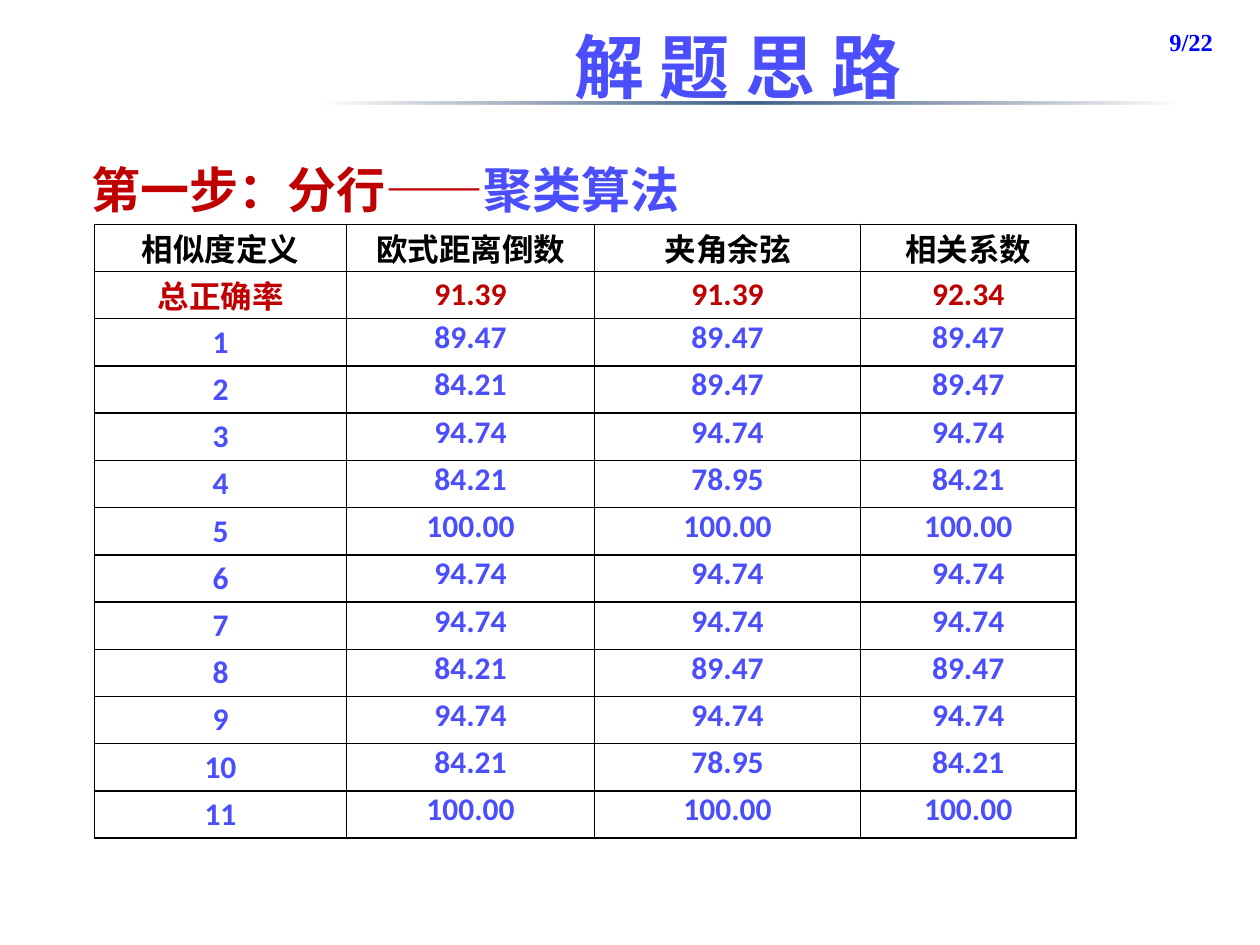
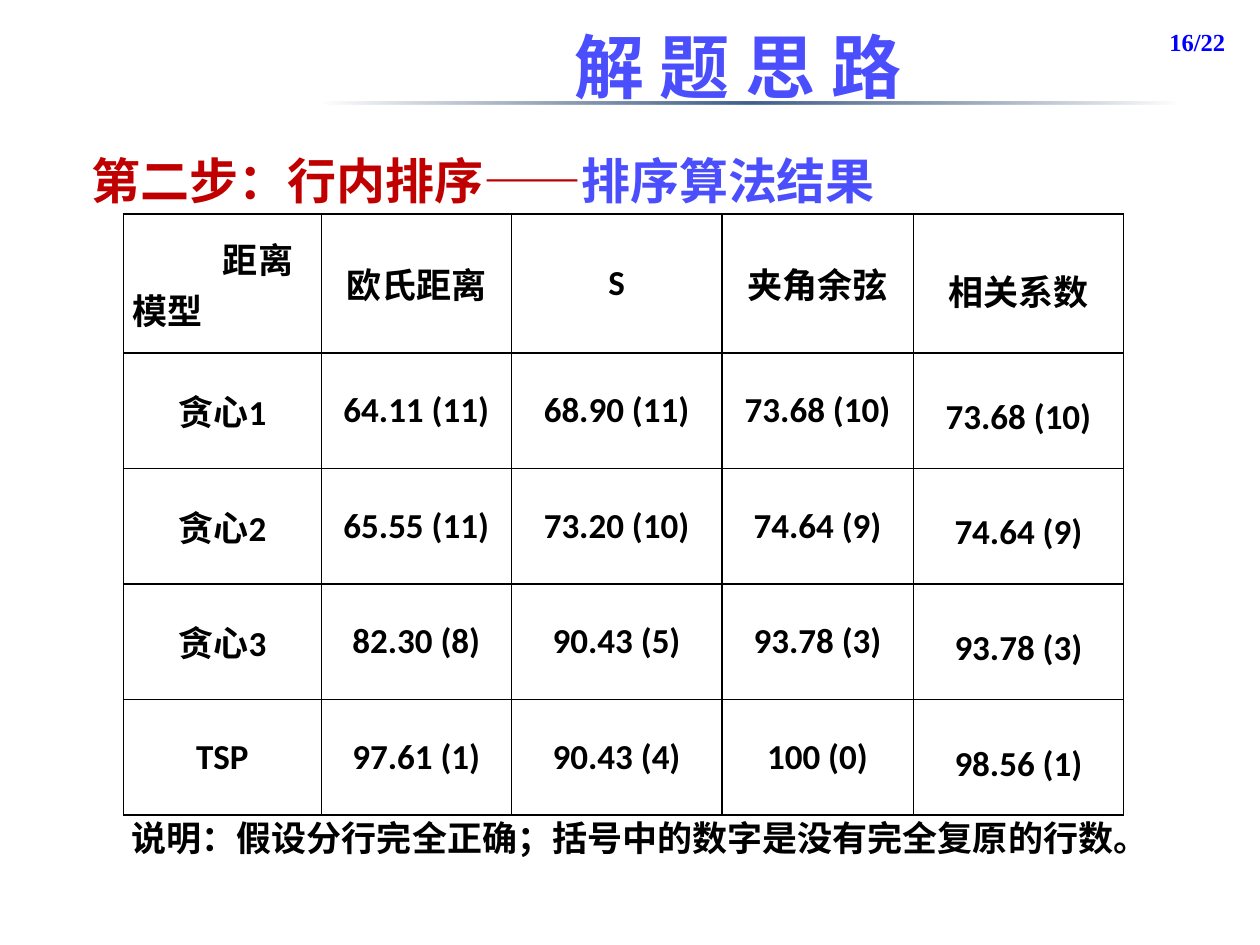
from dataclasses import dataclass

from lxml import etree
from pptx import Presentation
from pptx.dml.color import RGBColor
from pptx.enum.shapes import MSO_SHAPE
from pptx.enum.text import MSO_ANCHOR, PP_ALIGN
from pptx.oxml import parse_xml
from pptx.oxml.ns import qn
from pptx.util import Inches, Pt

RECTANGLE = MSO_SHAPE.RECTANGLE
TOP, MIDDLE = MSO_ANCHOR.TOP, MSO_ANCHOR.MIDDLE
LEFT, CENTER = PP_ALIGN.LEFT, PP_ALIGN.CENTER
DRAWING_NS = "http://schemas.openxmlformats.org/drawingml/2006/main"
BLANK_LAYOUT = 6
COLUMNS, ROWS = 100, 75
PAGE_COUNT = 22


@dataclass(frozen=True)
class Theme:
    violet: str = "4A4EFC"
    red: str = "C00000"
    black: str = "000000"
    page_blue: str = "0000FF"
    rule_edge: str = "2E4564"
    rule_core: str = "40608C"
    display_font: str = "Arial"
    table_font: str = "Calibri"
    page_font: str = "Times New Roman"
    title_size: int = 40
    heading_size: int = 28
    note_size: int = 20
    score_size: int = 18
    page_size: int = 14
    border_width: int = 1


def write_text(frame, paragraphs, *, font, size, color, align=LEFT, anchor=MIDDLE,
               margins=(0, 0, 0, 0), indents=(), wrap=True):
    frame.word_wrap = wrap
    frame.vertical_anchor = anchor
    (frame.margin_left, frame.margin_top,
     frame.margin_right, frame.margin_bottom) = map(Inches, margins)
    for index, runs in enumerate(paragraphs):
        paragraph = frame.paragraphs[0] if index == 0 else frame.add_paragraph()
        paragraph.alignment = align
        if index < len(indents):
            paragraph._p.get_or_add_pPr().set("marL", str(Inches(indents[index])))
        for text, run_color in [(runs, color)] if isinstance(runs, str) else runs:
            run = paragraph.add_run()
            run.text = text
            run.font.name = font
            run.font.size = Pt(size)
            run.font.bold = True
            run.font.color.rgb = RGBColor.from_string(run_color)


class Deck:
    def __init__(self, theme):
        self.theme = theme
        self.presentation = Presentation()
        self.presentation.slide_width = Inches(10)
        self.presentation.slide_height = Inches(7.5)
        self.column = self.presentation.slide_width / COLUMNS
        self.row = self.presentation.slide_height / ROWS
        self.slide = None

    def place(self, left, top, width, height):
        return (round(left * self.column), round(top * self.row),
                round(width * self.column), round(height * self.row))

    def start_slide(self, title, page):
        theme = self.theme
        layout = self.presentation.slide_layouts[BLANK_LAYOUT]
        self.slide = self.presentation.slides.add_slide(layout)
        self.title_rule((25.7, 8.1, 67.7, 0.2))
        self.label((92.8, 1.7, 7.2, 3.3), [f"{page}/{PAGE_COUNT}"], wrap=False,
                   font=theme.page_font, size=theme.page_size, color=theme.page_blue)
        self.label((23.5, 2, 70.1, 6.4), [title], align=CENTER,
                   font=theme.display_font, size=theme.title_size, color=theme.violet)

    def title_rule(self, area):
        rule = self.slide.shapes.add_shape(RECTANGLE, *self.place(*area))
        rule.shadow.inherit = False
        rule.line.fill.background()
        stops = [(0, self.theme.rule_edge, 0), (50, self.theme.rule_core, 100),
                 (100, self.theme.rule_edge, 0)]
        stop_xml = "".join(
            f'<a:gs pos="{position * 1000}"><a:srgbClr val="{color}">'
            f'<a:alpha val="{opacity * 1000}"/></a:srgbClr></a:gs>'
            for position, color, opacity in stops)
        gradient = parse_xml(
            f'<a:gradFill xmlns:a="{DRAWING_NS}" rotWithShape="1">'
            f'<a:gsLst>{stop_xml}</a:gsLst><a:lin ang="0" scaled="0"/></a:gradFill>')
        rule._element.spPr.find(qn("a:prstGeom")).addnext(gradient)

    def label(self, area, paragraphs, **text_format):
        box = self.slide.shapes.add_textbox(*self.place(*area))
        write_text(box.text_frame, paragraphs, **text_format)

    def heading(self, top, step, method):
        theme = self.theme
        self.label((7.3, top, 90, 6), [[(step + "——", theme.red), (method, theme.violet)]],
                   font=theme.display_font, size=theme.heading_size, color=theme.violet)

    def table(self, origin, widths, heights, records, cell_format):
        area = self.place(*origin, sum(widths), sum(heights))
        table = self.slide.shapes.add_table(len(heights), len(widths), *area).table
        table.first_row = table.horz_banding = False
        for column, width in zip(table.columns, widths):
            column.width = round(width * self.column)
        for row, height in zip(table.rows, heights):
            row.height = round(height * self.row)
        for row_index, record in enumerate(records):
            for column_index, content in enumerate(record):
                self.cell(table.cell(row_index, column_index), content,
                          **cell_format(row_index, column_index))

    def cell(self, cell, content, anchor=MIDDLE, margins=(0.07, 0, 0.07, 0), **text_format):
        paragraphs = content if isinstance(content, list) else [content]
        write_text(cell.text_frame, paragraphs, font=self.theme.table_font, **text_format)
        cell.vertical_anchor = anchor
        (cell.margin_left, cell.margin_top,
         cell.margin_right, cell.margin_bottom) = map(Inches, margins)
        cell.fill.background()
        properties = cell._tc.get_or_add_tcPr()
        for index, edge in enumerate(("a:lnL", "a:lnR", "a:lnT", "a:lnB")):
            line = etree.Element(qn(edge), w=str(Pt(self.theme.border_width)))
            fill = etree.SubElement(line, qn("a:solidFill"))
            etree.SubElement(fill, qn("a:srgbClr"), val=self.theme.black)
            properties.insert(index, line)


theme = Theme()
deck = Deck(theme)
TITLE = "解 题 思 路"

similarity_scores = [
    ("相似度定义", "欧式距离倒数", "夹角余弦", "相关系数"),
    ("总正确率", "91.39", "91.39", "92.34"),
    ("1", "89.47", "89.47", "89.47"),
    ("2", "84.21", "89.47", "89.47"),
    ("3", "94.74", "94.74", "94.74"),
    ("4", "84.21", "78.95", "84.21"),
    ("5", "100.00", "100.00", "100.00"),
    ("6", "94.74", "94.74", "94.74"),
    ("7", "94.74", "94.74", "94.74"),
    ("8", "84.21", "89.47", "89.47"),
    ("9", "94.74", "94.74", "94.74"),
    ("10", "84.21", "78.95", "84.21"),
    ("11", "100.00", "100.00", "100.00"),
]


def similarity_format(row, column):
    color = (theme.black, theme.red)[row] if row < 2 else theme.violet
    anchor = TOP if row >= 2 and column else MIDDLE
    return dict(size=theme.score_size, color=color, align=CENTER, anchor=anchor)


deck.start_slide(TITLE, 9)
deck.heading(12, "第一步：分行", "聚类算法")
deck.table((7.5, 17.8), (20, 19.7, 21.1, 17.1), [3.75] * len(similarity_scores),
           similarity_scores, similarity_format)

sorting_results = [
    (["距离", "模型"], "欧氏距离", "S", "夹角余弦", "相关系数"),
    ("贪心1", "64.11 (11)", "68.90 (11)", "73.68 (10)", "73.68 (10)"),
    ("贪心2", "65.55 (11)", "73.20 (10)", "74.64 (9)", "74.64 (9)"),
    ("贪心3", "82.30 (8)", "90.43 (5)", "93.78 (3)", "93.78 (3)"),
    ("TSP", "97.61 (1)", "90.43 (4)", "100 (0)", "98.56 (1)"),
]


def sorting_format(row, column):
    style = dict(size=theme.note_size, color=theme.black, align=CENTER)
    if row == column == 0:
        style.update(align=LEFT, indents=(0.72, 0))
    if column == len(sorting_results[0]) - 1:
        style.update(margins=(0.07, 0.11, 0.07, 0))
    return style


deck.start_slide(TITLE, 16)
deck.heading(11.3, "第二步：行内排序", "排序算法结果")
deck.table((9.8, 17), (15.7, 15.1, 16.7, 15.2, 16.7), [11] + [9.17] * 4,
           sorting_results, sorting_format)
deck.label((6.7, 64.3, 88.2, 4.4),
           ["说明：假设分行完全正确；括号中的数字是没有完全复原的行数。"], align=CENTER,
           font=theme.display_font, size=theme.note_size, color=theme.black)

deck.presentation.save("out.pptx")
